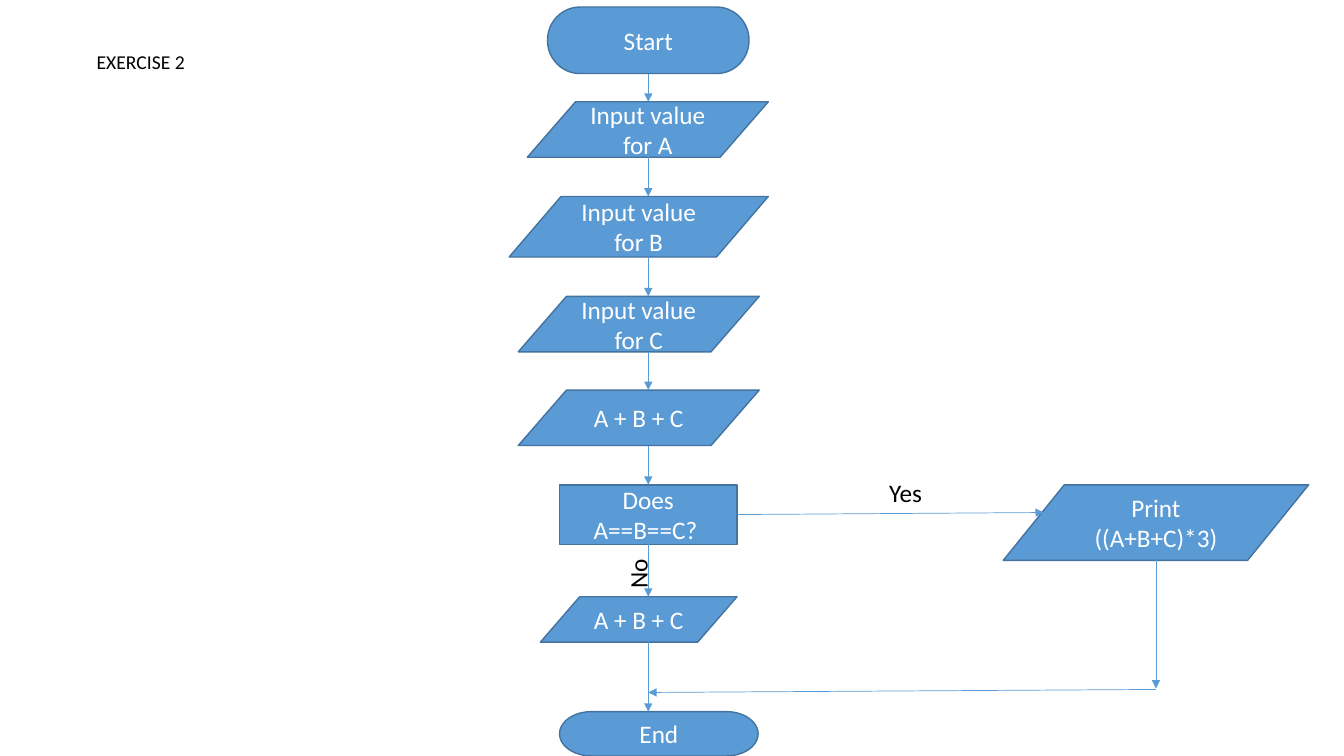
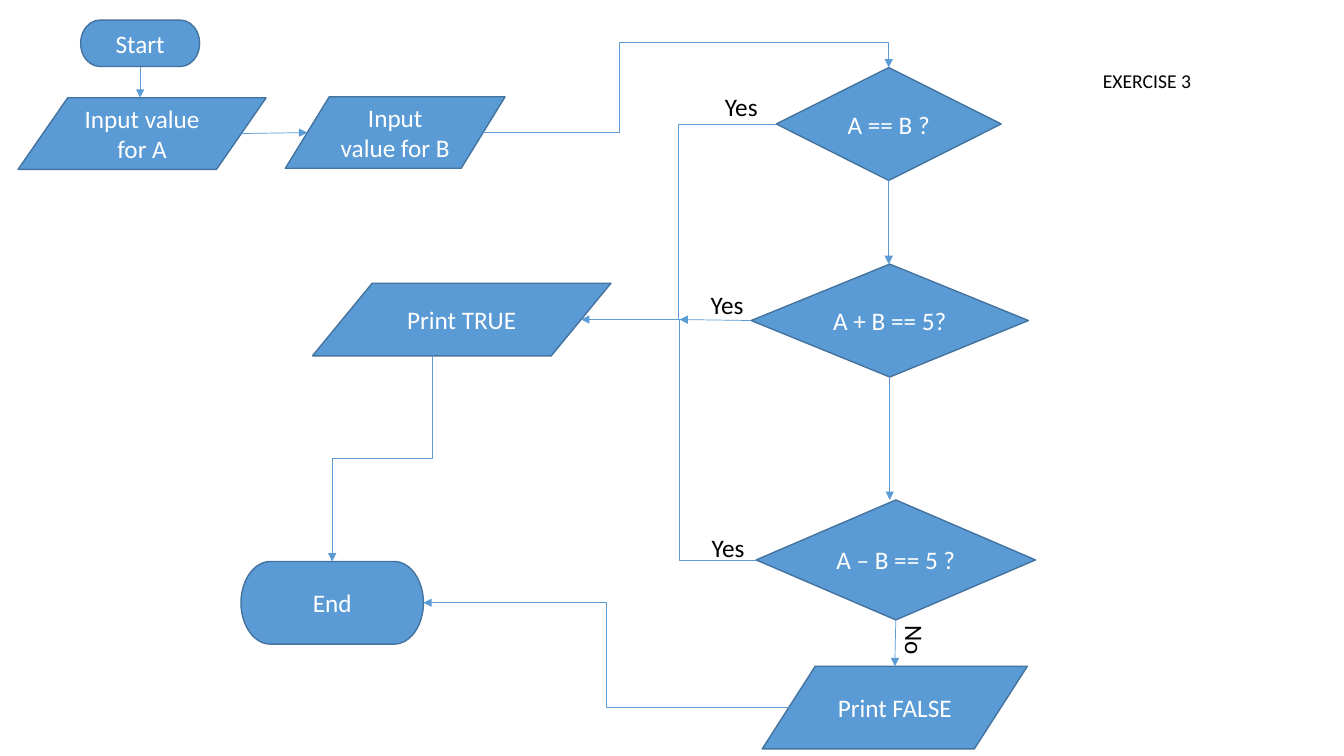
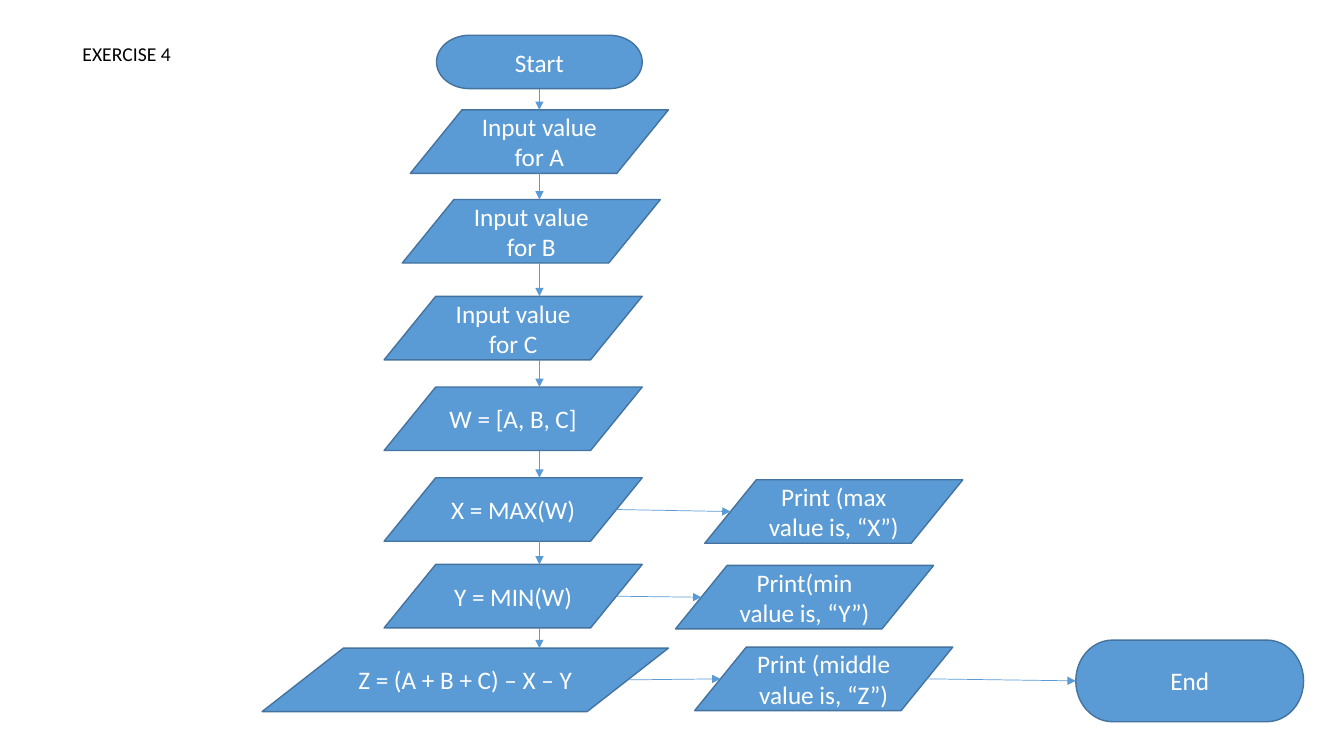
from dataclasses import dataclass
from itertools import pairwise

from lxml.etree import SubElement
from pptx import Presentation
from pptx.dml.color import RGBColor
from pptx.enum.shapes import MSO_CONNECTOR, MSO_SHAPE
from pptx.enum.text import MSO_ANCHOR, MSO_AUTO_SIZE, PP_ALIGN
from pptx.oxml.ns import qn
from pptx.util import Inches, Pt


@dataclass(frozen=True)
class Theme:
    fill: RGBColor = RGBColor(0x5B, 0x9B, 0xD5)
    outline: RGBColor = RGBColor(0x43, 0x73, 0x9E)
    light: RGBColor = RGBColor(0xFF, 0xFF, 0xFF)
    dark: RGBColor = RGBColor(0, 0, 0)
    font: str = "Calibri"
    body: float = 18
    heading: float = 14
    border: float = 1
    arrow: float = 0.5


THEME = Theme()
TERMINAL = MSO_SHAPE.FLOWCHART_TERMINATOR
DATA = MSO_SHAPE.FLOWCHART_DATA
DECISION = MSO_SHAPE.FLOWCHART_DECISION
PROCESS = MSO_SHAPE.RECTANGLE


@dataclass(frozen=True)
class Box:
    left: float
    top: float
    width: float
    height: float

    def inner(self, left, top, width, height):
        return Box(self.left + left, self.top + top, width, height)

    def point(self, across, down):
        return self.left + across * self.width, self.top + down * self.height

    def lengths(self):
        return [Inches(value) for value in (self.left, self.top, self.width, self.height)]


@dataclass(frozen=True)
class Node:
    box: Box
    kind: MSO_SHAPE

    def port(self, side):
        slant = 0.1 if self.kind == DATA else 0
        ports = {
            "left": (slant, 0.5),
            "right": (1 - slant, 0.5),
            "top": (0.5, 0),
            "bottom": (0.5, 1),
            "base": (0.4, 1),
        }
        return self.box.point(*ports[side])


def apply(target, formats):
    for name, value in formats.items():
        setattr(target, name, value)


def write(frame, text, size, color, align):
    frame.word_wrap = True
    para = frame.paragraphs[0]
    para.alignment = align
    span = para.add_run()
    apply(span, {"text": text})
    apply(span.font, {"name": THEME.font, "size": Pt(size)})
    span.font.color.rgb = color


def draw_node(page, box, kind, text):
    shape = page.shapes.add_shape(kind, *box.lengths())
    shape.shadow.inherit = False
    shape.fill.solid()
    shape.fill.fore_color.rgb = THEME.fill
    shape.line.color.rgb = THEME.outline
    shape.line.width = Pt(THEME.border)
    shape.text_frame.vertical_anchor = MSO_ANCHOR.MIDDLE
    write(shape.text_frame, text, THEME.body, THEME.light, PP_ALIGN.CENTER)
    return Node(box, kind)


def draw_nodes(page, box, items):
    return [draw_node(page, box.inner(*place), kind, text) for kind, text, place in items]


def draw_label(page, box, text, size=THEME.body, rotation=0):
    label = page.shapes.add_textbox(*box.lengths())
    label.rotation = rotation
    write(label.text_frame, text, size, THEME.dark, PP_ALIGN.LEFT)
    label.text_frame.auto_size = MSO_AUTO_SIZE.SHAPE_TO_FIT_TEXT


def draw_heading(page, box, text):
    draw_label(page, box, text, THEME.heading)


def draw_link(page, start, end, kind=MSO_CONNECTOR.STRAIGHT, arrow=True):
    link = page.shapes.add_connector(kind, *[Inches(value) for value in (*start, *end)])
    link.line.color.rgb = THEME.fill
    link.line.width = Pt(THEME.arrow)
    properties = link.element.find(qn("p:spPr"))
    if arrow:
        SubElement(properties.find(qn("a:ln")), qn("a:tailEnd"), type="triangle")
    SubElement(properties, qn("a:effectLst"))
    return link


def draw_elbow(page, start, end, preset="bentConnector3", adjustments=(), arrow=True):
    link = draw_link(page, start, end, MSO_CONNECTOR.ELBOW, arrow)
    geometry = link.element.find(qn("p:spPr")).find(qn("a:prstGeom"))
    geometry.set("prst", preset)
    guides = geometry.find(qn("a:avLst"))
    for number, value in enumerate(adjustments, 1):
        SubElement(guides, qn("a:gd"), name=f"adj{number}", fmla=f"val {round(value * 100000)}")


def draw_drop_elbow(page, start, end):
    middle_x, middle_y = (start[0] + end[0]) / 2, (start[1] + end[1]) / 2
    half_run, half_drop = (start[0] - end[0]) / 2, (end[1] - start[1]) / 2
    link = draw_link(
        page,
        (middle_x - half_drop, middle_y - half_run),
        (middle_x + half_drop, middle_y + half_run),
        MSO_CONNECTOR.ELBOW,
    )
    link.rotation = 90


def draw_column(page, box, spine, items):
    nodes = draw_nodes(page, box, items)
    x = box.left + spine
    for upper, lower in pairwise(nodes):
        draw_link(page, (x, upper.port("bottom")[1]), (x, lower.port("top")[1]))
    return nodes


def draw_equal_branch(page, box, question):
    product = draw_node(page, box.inner(2.64, 0.12, 3.03, 0.75), DATA, "Print ((A+B+C)*3)")
    entry_x, entry_y = product.port("left")
    draw_link(page, question.port("right"), (entry_x + 0.1, entry_y - 0.1))
    x, y = product.port("bottom")
    draw_link(page, (x, y), (x, box.top + 2.14))
    draw_link(page, (x, box.top + 2.15), (box.left - 0.88, box.top + 2.18))
    draw_label(page, box.inner(1.41, 0, 0.65, 0.42), "Yes")
    draw_label(page, box.inner(-1.3, 0.71, 0.65, 0.42), "No", rotation=270)


def sum_slide(page, box):
    draw_heading(page, box.inner(0.86, 0.45, 3.26, 0.34), "EXERCISE 2")
    steps = [
        (TERMINAL, "Start", (0.38, 0.07, 2, 0.66)),
        (DATA, "Input value for A", (0.18, 1.01, 2.39, 0.55)),
        (DATA, "Input value for B", (0, 1.95, 2.57, 0.6)),
        (DATA, "Input value for C", (0.09, 2.94, 2.39, 0.55)),
        (DATA, "A + B + C", (0.09, 3.87, 2.39, 0.55)),
        (PROCESS, "Does A==B==C? ", (0.5, 4.81, 1.76, 0.59)),
        (DATA, "A + B + C", (0.31, 5.92, 1.95, 0.45)),
        (TERMINAL, "End", (0.5, 7.06, 1.97, 0.44)),
    ]
    nodes = draw_column(page, box.inner(5.05, 0, 2.57, 7.5), 1.38, steps)
    draw_equal_branch(page, box.inner(7.31, 4.69, 5.67, 2.2), nodes[5])


def draw_inputs(page, box):
    start, first, second = draw_nodes(page, box, [
        (TERMINAL, "Start", (0.62, 0, 1.18, 0.46)),
        (DATA, "Input value for A", (0, 0.77, 2.46, 0.71)),
        (DATA, "Input value for B", (2.65, 0.76, 2.18, 0.71)),
    ])
    draw_link(page, start.port("bottom"), (start.port("bottom")[0], first.port("top")[1]))
    draw_link(page, first.port("right"), second.port("left"))
    return second


def draw_tests(page, box):
    tests = draw_nodes(page, box, [
        (DECISION, "A == B ?", (0.25, 0, 2.23, 1.12)),
        (DECISION, "A + B == 5?", (0, 1.95, 2.75, 1.12)),
        (DECISION, "A – B == 5 ?", (0.05, 4.29, 2.77, 1.19)),
    ])
    for upper, lower in pairwise(tests):
        x, y = upper.port("bottom")
        draw_link(page, (x, y), (x, lower.port("top")[1]))
    for left, top in [(-0.36, 0.19), (-0.5, 2.15), (-0.49, 4.56)]:
        draw_label(page, box.inner(left, top, 0.65, 0.42), "Yes")
    draw_label(page, box.inner(1.35, 5.51, 0.55, 0.4), "No", rotation=90)
    return tests


def draw_outcomes(page, box, tests):
    true_print, false_print, end = draw_nodes(page, box, [
        (DATA, "Print TRUE", (0.71, 0, 2.96, 0.72)),
        (DATA, "Print FALSE", (5.17, 3.8, 2.63, 0.82)),
        (TERMINAL, "End", (0, 2.76, 1.81, 0.82)),
    ])
    equal, total, difference = tests
    junction = box.left + 4.35, true_print.port("right")[1]
    draw_elbow(page, equal.port("left"), true_print.port("right"))
    draw_link(page, total.port("left"), junction)
    draw_elbow(page, difference.port("left"), junction, "bentConnector2", arrow=False)
    draw_link(page, difference.port("bottom"), false_print.port("top"))
    draw_elbow(page, false_print.port("left"), end.port("right"))
    draw_drop_elbow(page, true_print.port("base"), end.port("top"))


def test_slide(page, box):
    draw_heading(page, box.inner(10.84, 0.63, 3.26, 0.34), "EXERCISE 3")
    second = draw_inputs(page, box.inner(0.18, 0.2, 4.83, 1.48))
    tests = draw_tests(page, box.inner(7.45, 0.67, 2.82, 5.48))
    draw_elbow(page, second.port("right"), tests[0].port("top"), "bentConnector4", (0.335, 1.388))
    draw_outcomes(page, box.inner(2.39, 2.81, 7.8, 4.62), tests)


def draw_prints(page, box, results):
    *prints, end = draw_nodes(page, box, [
        (DATA, "Print (max value is, “X”)", (0.29, 0, 2.56, 0.63)),
        (DATA, "Print(min value is, “Y”)", (0, 0.85, 2.56, 0.63)),
        (DATA, "Print (middle value is, “Z”)", (0.19, 1.66, 2.56, 0.63)),
        (TERMINAL, "End", (3.97, 1.59, 2.26, 0.81)),
    ])
    for result, output in zip(results, prints):
        draw_link(page, result.port("right"), output.port("left"))
    draw_link(page, prints[-1].port("right"), end.port("left"))


def order_slide(page, box):
    draw_heading(page, box.inner(0.72, 0.37, 3.26, 0.34), "EXERCISE 4")
    rows = [
        ("Input value for A", 1.47, 1.09),
        ("Input value for B", 1.39, 1.98),
        ("Input value for C", 1.21, 2.94),
        ("W = [A, B, C]", 1.21, 3.84),
        ("X = MAX(W)", 1.21, 4.74),
        ("Y = MIN(W)", 1.21, 5.6),
    ]
    steps = [
        (TERMINAL, "Start", (1.73, 0.35, 2.04, 0.53)),
        *[(DATA, text, (left, top, 2.56, 0.63)) for text, left, top in rows],
        (DATA, "Z = (A + B + C) – X – Y", (0, 6.43, 4.03, 0.63)),
    ]
    nodes = draw_column(page, box.inner(2.6, 0, 4.03, 7.06), 2.75, steps)
    draw_prints(page, box.inner(6.7, 4.76, 6.23, 2.4), nodes[-3:])


def build():
    deck = Presentation()
    area = Box(0, 0, 13.33, 7.5)
    apply(deck, {"slide_width": Inches(area.width), "slide_height": Inches(area.height)})
    for fill_slide in (sum_slide, test_slide, order_slide):
        fill_slide(deck.slides.add_slide(deck.slide_layouts[6]), area)
    deck.save("out.pptx")


build()
